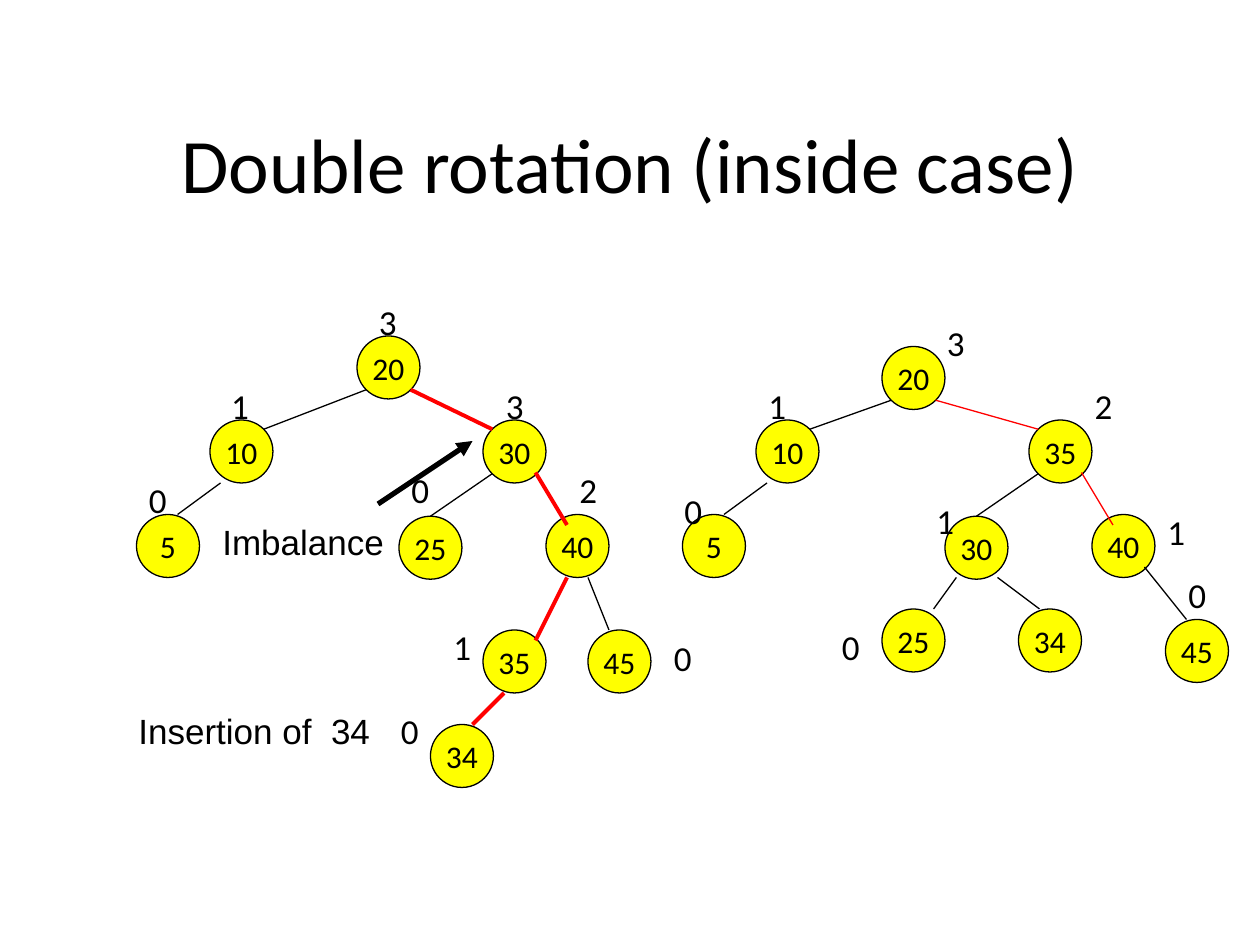
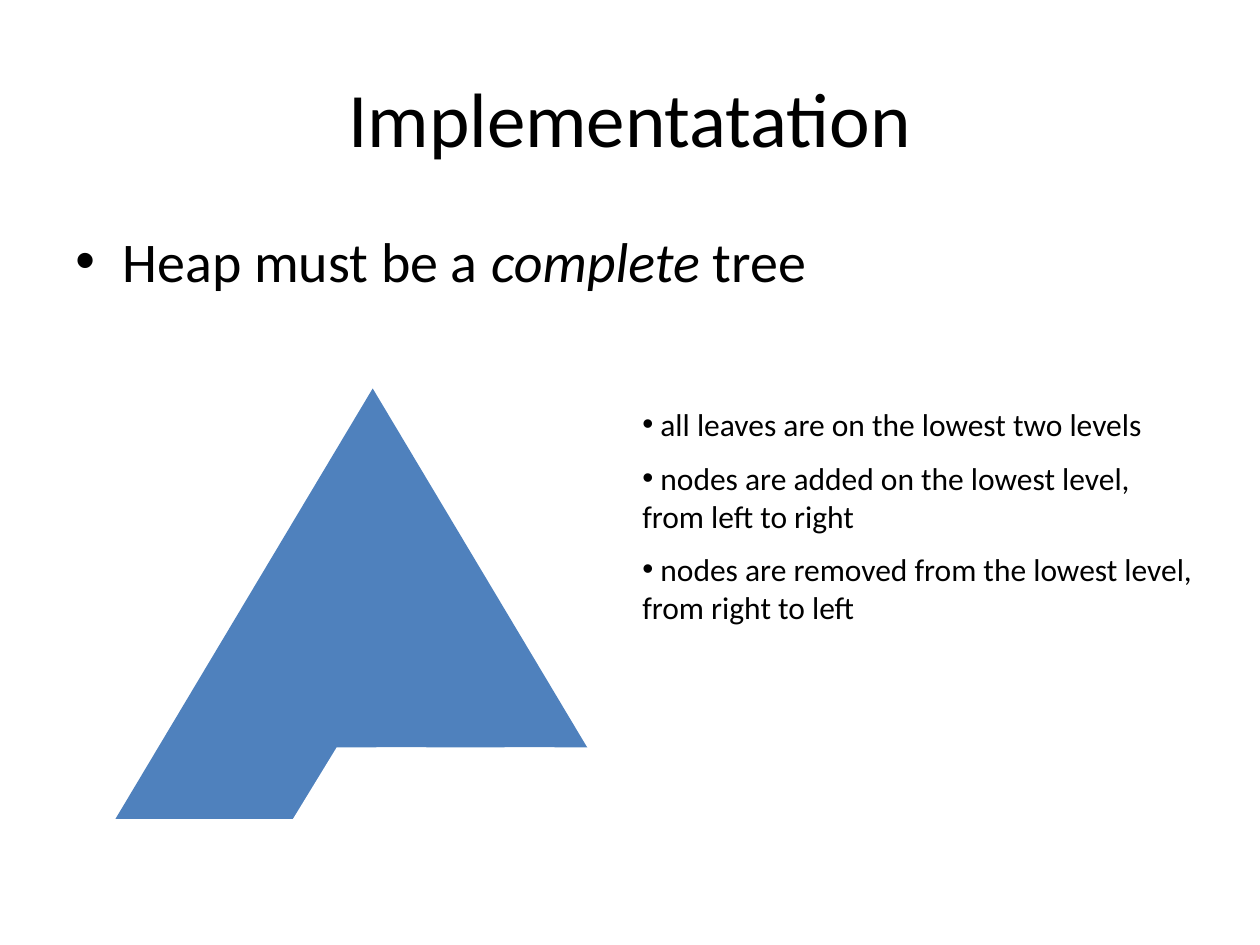
"""Build two slides on tree rotation and heap implementation."""
from lxml import etree
from pptx import Presentation
from pptx.dml.color import RGBColor
from pptx.enum import shapes, text
from pptx.oxml.ns import qn
from pptx.util import Pt

COLORS = {"ink": "000000", "node": "FFFF00", "path": "FF0000",
          "heap": "4F81BD", "paper": "FFFFFF"}
NODE_SIZE = 36


def write(para, content, size=20, font="Calibri", italic=False, align=None):
    span = para.add_run()
    span.text = content
    span.font.size = Pt(size)
    span.font.name = font
    span.font.italic = italic
    span.font.color.rgb = RGBColor.from_string(COLORS["ink"])
    para.alignment = align


def add_bullet(para, indent=0):
    properties = para._p.get_or_add_pPr()
    properties.set("marL", str(Pt(indent)))
    properties.set("indent", str(-Pt(indent)))
    etree.SubElement(properties, qn("a:buFont"), typeface="Arial")
    etree.SubElement(properties, qn("a:buChar"), char="•")


deck = Presentation()
deck.slide_width, deck.slide_height = Pt(720), Pt(540)

titles = [("Double rotation (inside case)", (54, 48, 612, 90)),
          ("Implementatation", (36, 21.6, 648, 90))]
pages = []
for heading, bounds in titles:
    page = deck.slides.add_slide(deck.slide_layouts[5])
    title = page.shapes.title
    title.left, title.top, title.width, title.height = map(Pt, bounds)
    title.text_frame.vertical_anchor = text.MSO_ANCHOR.MIDDLE
    write(title.text_frame.paragraphs[0], heading, size=44,
          align=text.PP_ALIGN.CENTER)
    pages.append(page)
rotation, heap = pages

before_nodes = [("20", 204, 192), ("10", 120, 240), ("30", 276, 240),
                ("25", 228, 295), ("40", 312, 294), ("5", 78, 294),
                ("45", 336, 360), ("35", 276, 360), ("34", 246, 414)]
after_nodes = [("20", 504, 198), ("10", 432, 240), ("35", 588, 240),
               ("30", 540, 295), ("40", 624, 294), ("5", 390, 294),
               ("45", 666, 354), ("25", 504, 348), ("34", 582, 348)]
circles = {}
for tree, nodes in (("before", before_nodes), ("after", after_nodes)):
    for key, left, top in nodes:
        circle = rotation.shapes.add_shape(
            shapes.MSO_SHAPE.OVAL, Pt(left), Pt(top), Pt(NODE_SIZE), Pt(NODE_SIZE))
        circle.shadow.inherit = False
        circle.fill.solid()
        circle.fill.fore_color.rgb = RGBColor.from_string(COLORS["node"])
        circle.line.color.rgb = RGBColor.from_string(COLORS["ink"])
        circle.line.width = Pt(0.75)
        circle.text_frame.word_wrap = False
        circle.text_frame.vertical_anchor = text.MSO_ANCHOR.MIDDLE
        write(circle.text_frame.paragraphs[0], key, size=18,
              align=text.PP_ALIGN.CENTER)
        circles[tree, key] = circle

edges = [
    (209.3, 222.7, 150.7, 245.3, "ink", 0.75, None),
    (234.7, 222.7, 281.3, 245.3, "path", 2.25, None),
    (281.3, 270.7, 246, 295, "ink", 0.75, ("before", "25")),
    (306, 270, 324, 300, "path", 2.25, None),
    (126, 276, 101.5, 294, "ink", 0.75, None),
    (336, 330, 348, 360, "ink", 0.75, None),
    (324, 330, 306, 366, "path", 2.25, None),
    (288, 396, 270, 414, "path", 2.25, None),
    (509.3, 228.7, 462.7, 245.3, "ink", 0.75, None),
    (534.7, 228.7, 593.3, 245.3, "path", 0.75, None),
    (593.3, 270.7, 558, 295, "ink", 0.75, ("after", "30")),
    (618, 270, 636, 300, "path", 0.75, None),
    (438.3, 276, 413.7, 294, "ink", 0.75, None),
    (654, 324, 678, 354, "ink", 0.75, None),
    (546.5, 330, 533.5, 348, "ink", 0.75, None),
    (570, 330, 594, 348, "ink", 0.75, None),
    (216, 288, 270, 252, "ink", 3, None),
]
for x1, y1, x2, y2, color, width, child in edges:
    edge = rotation.shapes.add_connector(
        shapes.MSO_CONNECTOR.STRAIGHT, Pt(x1), Pt(y1), Pt(x2), Pt(y2))
    edge.line.color.rgb = RGBColor.from_string(COLORS[color])
    edge.line.width = Pt(width)
    etree.SubElement(edge._element.spPr, qn("a:effectLst"))
    if child:
        edge.end_connect(circles[child], 0)
imbalance_arrow = edge
etree.SubElement(imbalance_arrow.line._get_or_add_ln(), qn("a:tailEnd"), type="triangle")

heights = {
    "0": [(228, 264), (78, 270), (378, 360), (222, 402),
          (384, 276), (672, 324), (474, 354)],
    "1": [(125, 216), (252, 354), (432, 216), (528, 282), (660, 288)],
    "2": [(324, 264), (618.5, 216)],
    "3": [(209.5, 168), (282, 216), (534, 180)],
}
labels = [(height, left, top, 24.5, "Calibri")
          for height, places in heights.items() for left, top in places]
labels += [("Imbalance", 120, 294, 108, "Arial"),
           ("Insertion of  34", 72, 402, 150, "Arial")]
for content, left, top, width, font in labels:
    box = rotation.shapes.add_textbox(Pt(left), Pt(top), Pt(width), Pt(31.5))
    box.text_frame.word_wrap = True
    write(box.text_frame.paragraphs[0], content, font=font)

body = heap.shapes.add_textbox(Pt(36), Pt(126), Pt(648), Pt(356.4))
body.text_frame.word_wrap = True
para = body.text_frame.paragraphs[0]
add_bullet(para, indent=27)
for content, italic in (("Heap must be a ", False), ("complete ", True), ("tree", False)):
    write(para, content, size=32, italic=italic)

picture = heap.shapes.add_group_shape()
triangle = picture.shapes.add_shape(
    shapes.MSO_SHAPE.ISOSCELES_TRIANGLE, Pt(66), Pt(222), Pt(294), Pt(246))
cutouts = []
for index in range(3):
    left = 167 + 48 * index
    wide, narrow = (427, 468.7) if index == 1 else (468.7, 427)
    outline = [(left, wide), (left + 25.5, narrow),
               (left + 76.5, narrow), (left + 102, wide)]
    points = [(Pt(x), Pt(y)) for x, y in outline]
    builder = picture.shapes.build_freeform(*points[0])
    builder.add_line_segments(points[1:], close=True)
    cutouts.append(builder.convert_to_shape())
for part in [triangle, *cutouts]:
    part.shadow.inherit = False
    part.fill.solid()
    color = "heap" if part is triangle else "paper"
    part.fill.fore_color.rgb = RGBColor.from_string(COLORS[color])
    part.line.fill.background()

rules = [" all leaves are on the lowest two levels",
         " nodes are added on the lowest level, from left to right",
         " nodes are removed from the lowest level, from right to left"]
box = heap.shapes.add_textbox(Pt(360), Pt(228), Pt(330), Pt(251))
box.text_frame.word_wrap = True
for index, rule in enumerate(rules):
    para = box.text_frame.add_paragraph() if index else box.text_frame.paragraphs[0]
    add_bullet(para)
    if index:
        para.space_before = Pt(9)
    write(para, rule, size=18)

deck.save("out.pptx")
